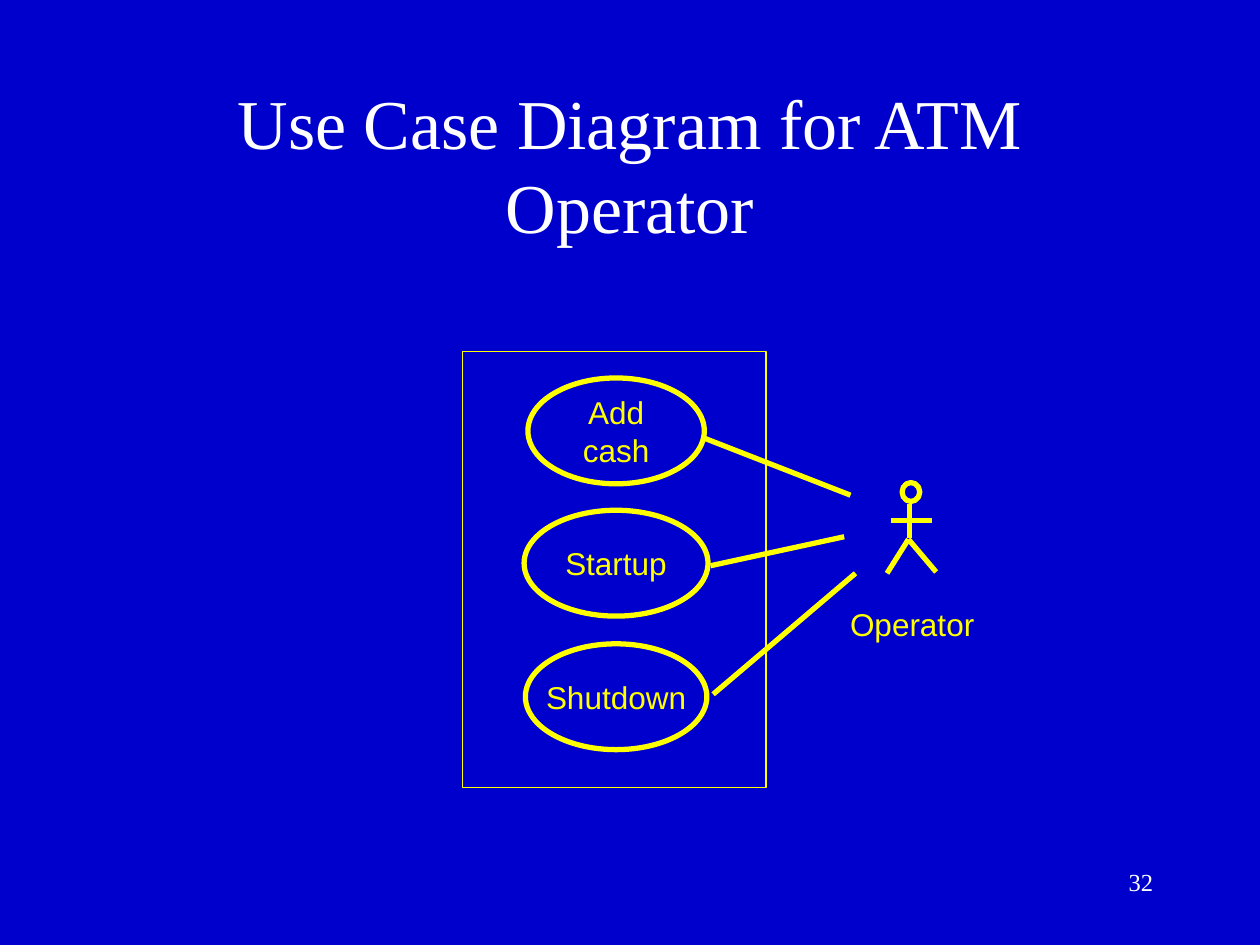
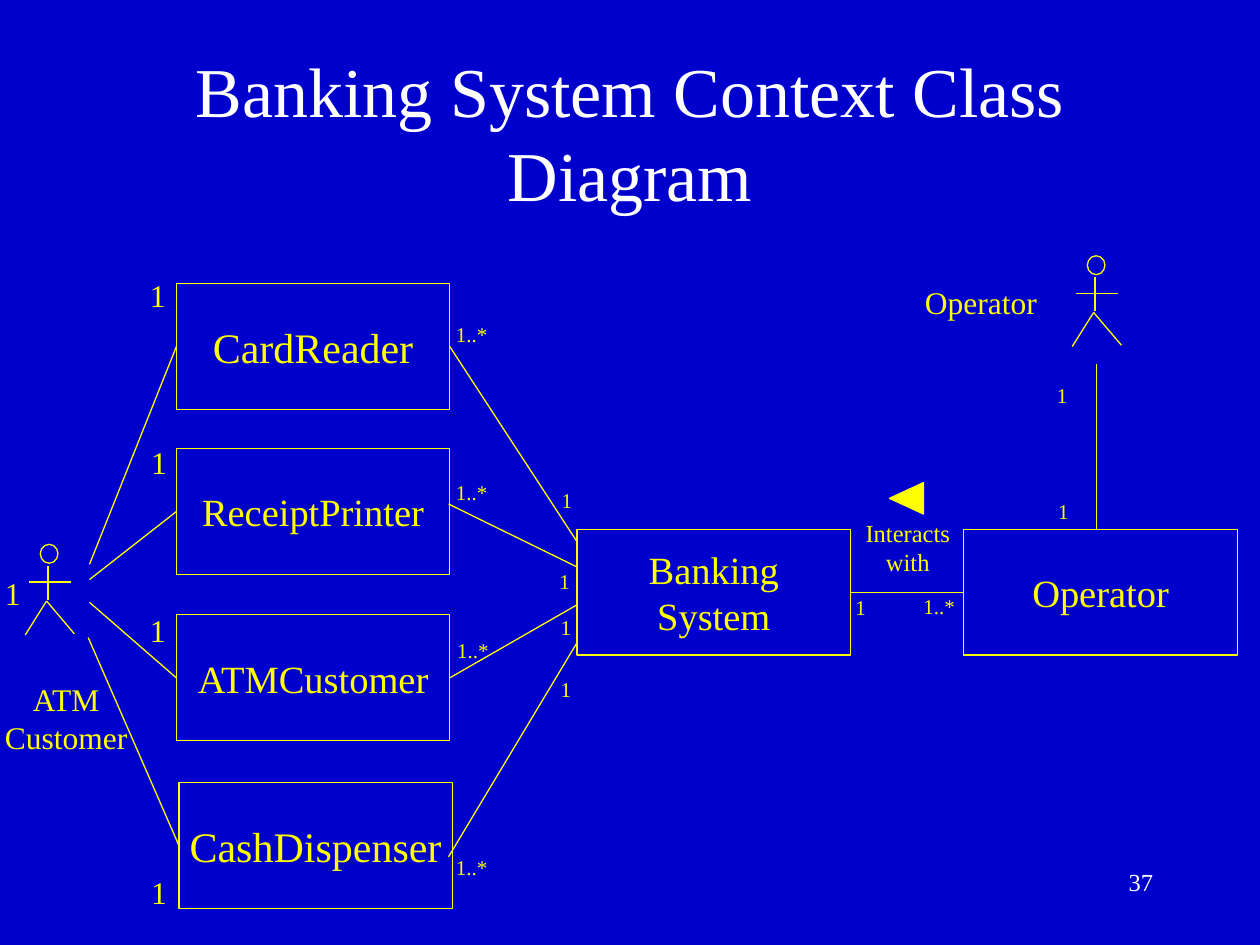
from dataclasses import dataclass
from typing import NamedTuple

from lxml import etree
from pptx import Presentation, util as u
from pptx.dml.color import RGBColor
from pptx.enum import shapes, text
from pptx.oxml import ns

TOP, LEFT, BOTTOM, RIGHT = range(4)


@dataclass(frozen=True)
class Theme:
    background: RGBColor = RGBColor(0x00, 0x00, 0xCC)
    heading: RGBColor = RGBColor(0xFF, 0xFF, 0xFF)
    ink: RGBColor = RGBColor(0xFF, 0xFF, 0x00)
    serif: str = "Times New Roman"
    sans: str = "Arial"
    title_size: int = 40
    large_class_size: int = 24
    class_size: int = 22
    actor_size: int = 18
    small_size: int = 14
    multiplicity_size: int = 12
    thin: float = 0.75
    thick: float = 3


THEME = Theme()


class Point(NamedTuple):
    x: float
    y: float


class Box(NamedTuple):
    left: float
    top: float
    width: float
    height: float

    def lengths(self) -> list:
        return [u.Inches(value) for value in self]


class TextStyle(NamedTuple):
    size: int
    font: str = THEME.serif
    color: RGBColor = THEME.ink
    align: text.PP_ALIGN = text.PP_ALIGN.CENTER
    anchor: text.MSO_ANCHOR = text.MSO_ANCHOR.TOP
    wrap: bool = False


class Node(NamedTuple):
    words: str
    box: Box
    size: int = THEME.class_size


class Multiplicity(NamedTuple):
    words: str
    left: float
    top: float
    size: int = THEME.multiplicity_size


MIDDLE = text.MSO_ANCHOR.MIDDLE
TITLE = TextStyle(THEME.title_size, color=THEME.heading, anchor=MIDDLE, wrap=True)
NUMBER = TextStyle(THEME.small_size, color=THEME.heading, align=text.PP_ALIGN.RIGHT, wrap=True)
USE_CASE = TextStyle(THEME.actor_size, THEME.sans, anchor=MIDDLE)
ACTOR = TextStyle(THEME.actor_size)
NOTE = TextStyle(THEME.small_size)

# Label box sizes by wording and type size
MULTIPLICITY_BOXES = {
    ("1", THEME.actor_size): (0.32, 0.4),
    ("1", THEME.multiplicity_size): (0.28, 0.3),
    ("1..*", THEME.multiplicity_size): (0.45, 0.3),
}

# Strokes of a stick figure, measured from the corner of its head
FIGURE_HEAD = (0.14, 0.15)
FIGURE_STROKES = [
    (Point(-0.09, 0.3), Point(0.24, 0.3)),
    (Point(0.06, 0.17), Point(0.06, 0.44)),
    (Point(0.05, 0.45), Point(-0.12, 0.72)),
    (Point(0.05, 0.45), Point(0.27, 0.71)),
]


# Drawing helpers
def write(shape, words: str, style: TextStyle) -> None:
    frame = shape.text_frame
    frame.word_wrap = style.wrap
    frame.vertical_anchor = style.anchor
    frame.text = words
    for paragraph in frame.paragraphs:
        paragraph.alignment = style.align
        paragraph.font.name = style.font
        paragraph.font.size = u.Pt(style.size)
        paragraph.font.color.rgb = style.color


def draw_text(slide, words: str, box: Box, style: TextStyle) -> None:
    shape = slide.shapes.add_textbox(*box.lengths())
    write(shape, words, style)
    if not style.wrap:
        shape.text_frame.auto_size = text.MSO_AUTO_SIZE.SHAPE_TO_FIT_TEXT


def draw_shape(parent, kind: shapes.MSO_SHAPE, box: Box, weight: float):
    shape = parent.shapes.add_shape(kind, *box.lengths())
    shape.shadow.inherit = False
    shape.fill.background()
    shape.line.color.rgb = THEME.ink
    shape.line.width = u.Pt(weight)
    return shape


def draw_line(parent, start: Point, end: Point, weight: float):
    ends = [u.Inches(value) for value in (*start, *end)]
    connector = parent.shapes.add_connector(shapes.MSO_CONNECTOR.STRAIGHT, *ends)
    connector.line.color.rgb = THEME.ink
    connector.line.width = u.Pt(weight)
    etree.SubElement(connector._element.spPr, ns.qn("a:effectLst"))
    return connector


def draw_figure(slide, head: Point, weight: float) -> None:
    group = slide.shapes.add_group_shape()
    draw_shape(group, shapes.MSO_SHAPE.FLOWCHART_CONNECTOR, Box(*head, *FIGURE_HEAD), weight)
    for stroke in FIGURE_STROKES:
        start, end = (Point(head.x + point.x, head.y + point.y) for point in stroke)
        draw_line(group, start, end, weight)


def draw_class(slide, node: Node):
    shape = draw_shape(slide, shapes.MSO_SHAPE.RECTANGLE, node.box, THEME.thin)
    write(shape, node.words, TextStyle(node.size, anchor=MIDDLE))
    return shape


def draw_multiplicity(slide, label: Multiplicity) -> None:
    size = MULTIPLICITY_BOXES[label.words, label.size]
    style = TextStyle(label.size, align=text.PP_ALIGN.LEFT)
    draw_text(slide, label.words, Box(label.left, label.top, *size), style)


def start_slide(presentation, title: str, title_top: float, number: int):
    slide = presentation.slides.add_slide(presentation.slide_layouts[6])
    slide.background.fill.solid()
    slide.background.fill.fore_color.rgb = THEME.background
    draw_text(slide, title, Box(0.75, title_top, 8.5, 1.25), TITLE)
    draw_text(slide, str(number), Box(7.17, 6.83, 2.08, 0.5), NUMBER)
    return slide


# Use case diagram
def build_use_cases(presentation) -> None:
    slide = start_slide(presentation, "Use Case Diagram for ATM Operator", 0.67, 32)
    draw_shape(slide, shapes.MSO_SHAPE.RECTANGLE, Box(3.67, 2.79, 2.41, 3.46), THEME.thin)

    use_cases = [
        (Node("Add\ncash", Box(4.19, 3, 1.4, 0.84)), Point(6.75, 3.93), Point(5.57, 3.47)),
        (Node("Startup", Box(4.16, 4.05, 1.46, 0.84)), Point(6.7, 4.26), Point(5.64, 4.49)),
        (Node("Shutdown", Box(4.17, 5.11, 1.44, 0.84)), Point(6.79, 4.55), Point(5.66, 5.51)),
    ]
    for node, start, end in use_cases:
        ellipse = draw_shape(slide, shapes.MSO_SHAPE.OVAL, node.box, THEME.thick)
        write(ellipse, node.words, USE_CASE)
        draw_line(slide, start, end, THEME.thick)

    draw_figure(slide, Point(7.16, 3.83), THEME.thick)
    draw_text(slide, "Operator", Box(6.62, 4.75, 1.24, 0.4), USE_CASE)


# Context class diagram
def build_context_classes(presentation) -> None:
    slide = start_slide(presentation, "Banking System Context Class Diagram", 0.42, 37)
    class_size = (2.17, 1)
    banking = draw_class(slide, Node("Banking\nSystem", Box(4.58, 4.2, *class_size)))
    operator = draw_class(slide, Node("Operator", Box(7.65, 4.2, *class_size)))

    # Devices, each linked to the customer on the left and the system on the right
    large = THEME.large_class_size
    devices = [
        (Node("CardReader", Box(1.4, 2.25, *class_size), large), Point(0.71, 4.48), 2.72, 4.3),
        (Node("ReceiptPrinter", Box(1.4, 3.56, *class_size)), Point(0.71, 4.6), 4, 4.5),
        (Node("ATMCustomer", Box(1.4, 4.88, *class_size)), Point(0.71, 4.78), 5.4, 4.8),
        (Node("CashDispenser", Box(1.42, 6.21, *class_size), large), Point(0.7, 5.06), 6.8, 5.1),
    ]
    for node, customer_end, device_y, system_y in devices:
        device = draw_class(slide, node)
        middle = node.box.top + node.box.height / 2
        customer_link = draw_line(slide, customer_end, Point(node.box.left, middle), THEME.thin)
        customer_link.end_connect(device, LEFT)
        system_link = draw_line(slide, Point(4.58, system_y), Point(3.56, device_y), THEME.thin)
        if abs(device_y - middle) < 0.04:
            system_link.end_connect(device, RIGHT)

    # Operator side
    interaction = draw_line(slide, Point(6.75, 4.7), Point(7.65, 4.7), THEME.thin)
    interaction.begin_connect(banking, RIGHT)
    interaction.end_connect(operator, LEFT)
    draw_line(slide, Point(8.7, 4.2), Point(8.7, 2.89), THEME.thin)
    draw_text(slide, "Interacts\nwith", Box(6.77, 4.06, 0.87, 0.57), NOTE)
    direction = draw_shape(
        slide, shapes.MSO_SHAPE.ISOSCELES_TRIANGLE, Box(7.07, 3.82, 0.25, 0.27), THEME.thin
    )
    direction.rotation = 270
    direction.fill.solid()
    direction.fill.fore_color.rgb = THEME.ink

    # Actors
    draw_figure(slide, Point(8.63, 2.03), THEME.thin)
    draw_figure(slide, Point(0.32, 4.32), THEME.thin)
    draw_text(slide, "Operator", Box(7.24, 2.2, 1.09, 0.4), ACTOR)
    draw_text(slide, "ATM\nCustomer", Box(-0.06, 5.35, 1.17, 0.7), ACTOR)

    # Multiplicities
    customer_ends = [(1.09, 2.14), (1.1, 3.47), (1.09, 4.8), (1.1, 6.88), (-0.06, 4.51)]
    many_ends = [(3.52, 2.5), (3.52, 3.76), (3.53, 5.01), (3.52, 6.73), (7.23, 4.66)]
    one_ends = [
        (4.36, 3.82), (4.34, 4.46), (4.35, 4.83), (4.35, 5.32),
        (6.69, 4.67), (8.29, 2.99), (8.3, 3.91),
    ]
    labels = [Multiplicity("1", *place, THEME.actor_size) for place in customer_ends]
    labels += [Multiplicity("1..*", *place) for place in many_ends]
    labels += [Multiplicity("1", *place) for place in one_ends]
    for label in labels:
        draw_multiplicity(slide, label)


def main() -> None:
    presentation = Presentation()
    presentation.slide_width = u.Inches(10)
    presentation.slide_height = u.Inches(7.5)
    build_use_cases(presentation)
    build_context_classes(presentation)
    presentation.save("out.pptx")


if __name__ == "__main__":
    main()
